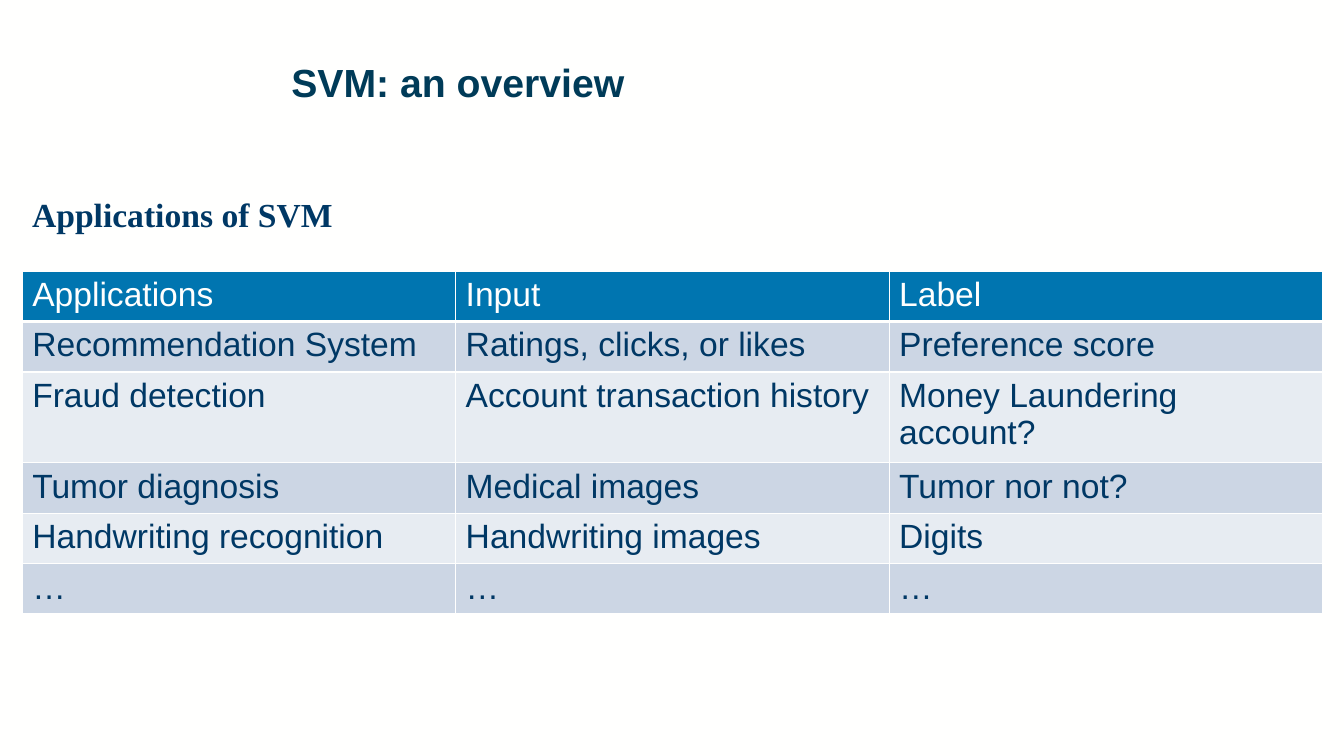
from lxml import etree
from pptx import Presentation
from pptx import util as u
from pptx.dml.color import RGBColor
from pptx.enum import text
from pptx.oxml.ns import qn

PAPER = RGBColor(0xFF, 0xFF, 0xFE)
TITLE_BLUE = RGBColor(0x00, 0x3B, 0x58)
NAVY = RGBColor(0x00, 0x38, 0x65)
HEADER_BLUE = RGBColor(0x00, 0x75, 0xB0)
BAND_DARK = RGBColor(0xCC, 0xD6, 0xE4)
BAND_LIGHT = RGBColor(0xE7, 0xEC, 0xF2)

APPLICATIONS = [
    ("Applications", "Input", "Label"),
    ("Recommendation System", "Ratings, clicks, or likes", "Preference score"),
    ("Fraud detection", "Account transaction history", "Money Laundering account?"),
    ("Tumor diagnosis", "Medical images", "Tumor nor not?"),
    ("Handwriting recognition", "Handwriting images", "Digits"),
    ("…", "…", "…"),
]


def add_run(paragraph, words, size, color, font="Arial", bold=False):
    run = paragraph.add_run()
    run.text = words
    run.font.name = font
    run.font.size = u.Pt(size)
    run.font.bold = bold
    run.font.color.rgb = color


def place_title(slide, left, top, width, height):
    title = slide.shapes.title
    title.left, title.top, title.width, title.height = left, top, width, height
    frame = title.text_frame
    frame.word_wrap = True
    frame.vertical_anchor = text.MSO_ANCHOR.TOP
    paragraph = frame.paragraphs[0]
    paragraph.alignment = text.PP_ALIGN.LEFT
    paragraph.line_spacing = 0.9
    add_run(paragraph, "SVM: an overview", 28, TITLE_BLUE, bold=True)


def place_heading(slide, left, top, width, height):
    frame = slide.shapes.add_textbox(left, top, width, height).text_frame
    frame.word_wrap = True
    frame.auto_size = text.MSO_AUTO_SIZE.SHAPE_TO_FIT_TEXT
    add_run(frame.paragraphs[0], "Applications of SVM", 24, NAVY,
            "Times New Roman", True)


def set_borders(cell, bottom_width):
    properties = cell._tc.get_or_add_tcPr()
    widths = {"a:lnL": 1, "a:lnR": 1, "a:lnT": 1, "a:lnB": bottom_width}
    # Border lines must come before the cell's fill
    for position, (side, width) in enumerate(widths.items()):
        line = etree.Element(qn(side), w=str(u.Pt(width)))
        fill = etree.SubElement(line, qn("a:solidFill"))
        etree.SubElement(fill, qn("a:srgbClr"), val=str(PAPER))
        properties.insert(position, line)


def place_table(slide, left, top, width, height):
    row_count, column_count = len(APPLICATIONS), len(APPLICATIONS[0])
    table = slide.shapes.add_table(row_count, column_count,
                                   left, top, width, height).table
    for row, entries in enumerate(APPLICATIONS):
        is_header = row == 0
        band = BAND_DARK if row % 2 else BAND_LIGHT
        for column, entry in enumerate(entries):
            cell = table.cell(row, column)
            cell.fill.solid()
            cell.fill.fore_color.rgb = HEADER_BLUE if is_header else band
            set_borders(cell, 3 if is_header else 1)
            add_run(cell.text_frame.paragraphs[0], entry, 24,
                    PAPER if is_header else NAVY)


def build_overview(presentation):
    slide = presentation.slides.add_slide(presentation.slide_layouts[5])
    slide.background.fill.solid()
    slide.background.fill.fore_color.rgb = PAPER
    margin = u.Cm(0.56)
    # Title
    place_title(slide, u.Cm(7.09), u.Cm(1.47), u.Cm(25.58), u.Cm(2.46))
    # Heading above the table
    place_heading(slide, margin, u.Cm(4.75), u.Cm(20.6), u.Cm(1.28))
    # Applications table; rows grow to fit their text
    place_table(slide, margin, u.Cm(6.83), u.Cm(32.77), u.Cm(6.25))


def main():
    presentation = Presentation()
    presentation.slide_width = u.Cm(33.87)
    presentation.slide_height = u.Cm(19.05)
    build_overview(presentation)
    presentation.save("out.pptx")


if __name__ == "__main__":
    main()
